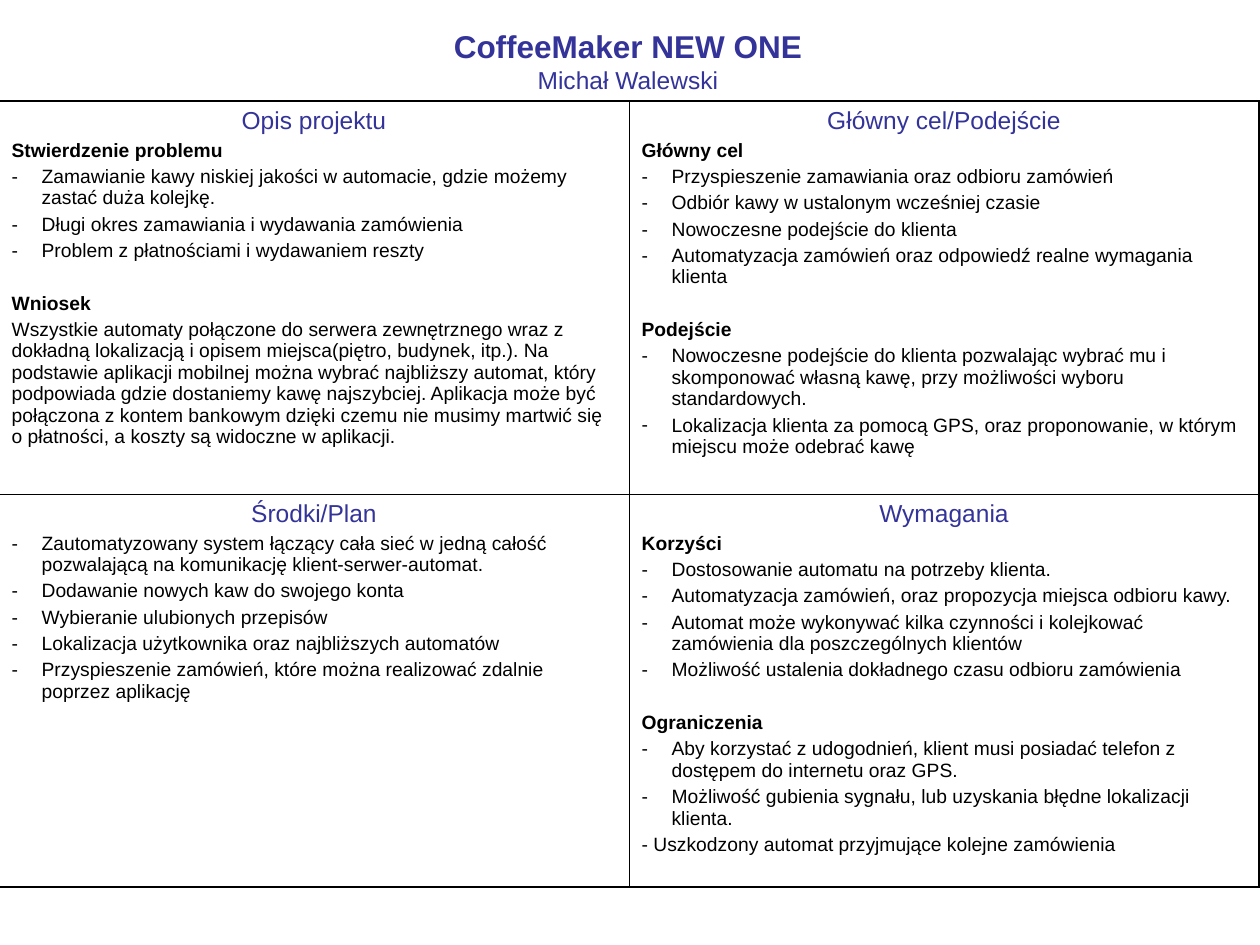
"""Build a one-page project summary with a title and a two-by-two table."""
import pptx
import pptx.dml.color
import pptx.enum.text
import pptx.oxml
import pptx.oxml.ns
import pptx.util

PX = 914400 / 126
COLORS = {"heading": "333399", "text": "000000"}
FONT = "Arial"
ALIGN = pptx.enum.text.PP_ALIGN
INDENT = 30
THICK, THIN = 1.08, 0.45

QUADRANTS = [
    [
        ("Opis projektu", [
            ("Stwierdzenie problemu", [
                ("bullet", "Zamawianie kawy niskiej jakości w automacie, gdzie możemy zastać duża kolejkę."),
                ("bullet", "Długi okres zamawiania i wydawania zamówienia"),
                ("bullet", "Problem z płatnościami i wydawaniem reszty"),
            ]),
            ("Wniosek", [
                ("plain", "Wszystkie automaty połączone do serwera zewnętrznego wraz z dokładną "
                          "lokalizacją i opisem miejsca(piętro, budynek, itp.). Na podstawie aplikacji "
                          "mobilnej można wybrać najbliższy automat, który podpowiada gdzie dostaniemy "
                          "kawę najszybciej. Aplikacja może być połączona z kontem bankowym dzięki czemu "
                          "nie musimy martwić się o płatności, a koszty są widoczne w aplikacji."),
            ]),
        ]),
        ("Główny cel/Podejście", [
            ("Główny cel", [
                ("bullet", "Przyspieszenie zamawiania oraz odbioru zamówień"),
                ("bullet", "Odbiór kawy w ustalonym wcześniej czasie"),
                ("bullet", "Nowoczesne podejście do klienta"),
                ("bullet", "Automatyzacja zamówień oraz odpowiedź realne wymagania klienta"),
            ]),
            ("Podejście", [
                ("bullet", "Nowoczesne podejście do klienta pozwalając wybrać mu i skomponować "
                           "własną kawę, przy możliwości wyboru standardowych."),
                ("bullet", "Lokalizacja klienta za pomocą GPS, oraz proponowanie, w którym miejscu "
                           "może odebrać kawę"),
            ]),
        ]),
    ],
    [
        ("Środki/Plan", [
            (None, [
                ("bullet", "Zautomatyzowany system łączący cała sieć w jedną całość pozwalającą "
                           "na komunikację klient-serwer-automat."),
                ("bullet", "Dodawanie nowych kaw do swojego konta"),
                ("bullet", "Wybieranie ulubionych przepisów"),
                ("bullet", "Lokalizacja użytkownika oraz najbliższych automatów"),
                ("bullet", "Przyspieszenie zamówień, które można realizować zdalnie poprzez aplikację"),
            ]),
        ]),
        ("Wymagania", [
            ("Korzyści", [
                ("bullet", "Dostosowanie automatu na potrzeby klienta."),
                ("bullet", "Automatyzacja zamówień, oraz propozycja miejsca odbioru kawy."),
                ("bullet", "Automat może wykonywać kilka czynności i kolejkować zamówienia dla "
                           "poszczególnych klientów"),
                ("bullet", "Możliwość ustalenia dokładnego czasu odbioru zamówienia"),
            ]),
            ("Ograniczenia", [
                ("bullet", "Aby korzystać z udogodnień, klient musi posiadać telefon z dostępem "
                           "do internetu oraz GPS."),
                ("bullet", "Możliwość gubienia sygnału, lub uzyskania błędne lokalizacji klienta."),
                ("plain", "- Uszkodzony automat przyjmujące kolejne zamówienia"),
            ]),
        ]),
    ],
]


def px(length):
    """Turn whole pixels into EMU."""
    return pptx.util.Emu(round(length * PX))


def add_element(parent, tag, **attributes):
    """Append a DrawingML element with its attributes."""
    child = pptx.oxml.parse_xml(f"<{tag} {pptx.oxml.ns.nsdecls('a')}/>")
    for name, value in attributes.items():
        child.set(name, str(value))
    parent.append(child)
    return child


def write_paragraph(frame, text, size, color="text", bold=False, align=ALIGN.LEFT, before=0.0):
    """Fill the empty first paragraph or add a new one."""
    para = frame.paragraphs[0]
    if para.runs:
        para = frame.add_paragraph()
    para.alignment = align
    para.space_before = pptx.util.Pt(before)
    span = para.add_run()
    span.text = text
    span.font.name = FONT
    span.font.size = pptx.util.Pt(size)
    span.font.bold = bold
    span.font.color.rgb = pptx.dml.color.RGBColor.from_string(COLORS[color])
    return para


def add_dash(para):
    """Give a paragraph a hanging dash bullet."""
    properties = para._p.get_or_add_pPr()
    properties.set("marL", str(px(INDENT)))
    properties.set("indent", str(-px(INDENT)))
    add_element(properties, "a:buFont", typeface=FONT)
    add_element(properties, "a:buChar", char="-")


def fill_quadrant(cell, heading, sections):
    """Write a centred heading followed by its sections."""
    frame = cell.text_frame
    write_paragraph(frame, heading, 14, "heading", align=ALIGN.CENTER, before=3.5)
    for position, (label, items) in enumerate(sections):
        if label:
            write_paragraph(frame, label, 11, bold=True, before=17.8 if position else 2.8)
        for kind, text in items:
            para = write_paragraph(frame, text, 11, before=2.8)
            if kind == "bullet":
                add_dash(para)


def set_borders(cell, widths):
    """Draw the four cell borders and clear the fill."""
    properties = cell._tc.get_or_add_tcPr()
    for side, width in zip("LRTB", widths):
        line = add_element(properties, f"a:ln{side}", w=pptx.util.Pt(width))
        fill = add_element(line, "a:solidFill")
        add_element(fill, "a:srgbClr", val=COLORS["text"])
    cell.fill.background()


def add_quadrants(page):
    """Add the two-by-two table."""
    frame = page.shapes.add_table(2, 2, px(-1), px(101), px(1260), px(786))
    table = frame.table
    table.first_row = False
    table.horz_banding = False
    for row, quadrants in enumerate(QUADRANTS):
        table.rows[row].height = px(393)
        for column, (heading, sections) in enumerate(quadrants):
            cell = table.cell(row, column)
            fill_quadrant(cell, heading, sections)
            set_borders(cell, (
                THIN if column else THICK,
                THICK if column else THIN,
                THIN if row else THICK,
                THICK if row else THIN,
            ))


def add_title(page):
    """Place the project name and its author in the title."""
    box = page.shapes.title
    box.left, box.top, box.width, box.height = px(103), px(21), px(1050), px(81)
    frame = box.text_frame
    frame.word_wrap = True
    frame.auto_size = pptx.enum.text.MSO_AUTO_SIZE.NONE
    frame.vertical_anchor = pptx.enum.text.MSO_ANCHOR.TOP
    write_paragraph(frame, "CoffeeMaker NEW ONE", 18, "heading", True, ALIGN.CENTER)
    write_paragraph(frame, "Michał Walewski", 14, "heading", align=ALIGN.CENTER)


def main():
    """Create and save the deck."""
    deck = pptx.Presentation()
    deck.slide_width, deck.slide_height = px(1260), px(945)
    page = deck.slides.add_slide(deck.slide_layouts[5])
    add_title(page)
    add_quadrants(page)
    deck.save("out.pptx")


if __name__ == "__main__":
    main()
